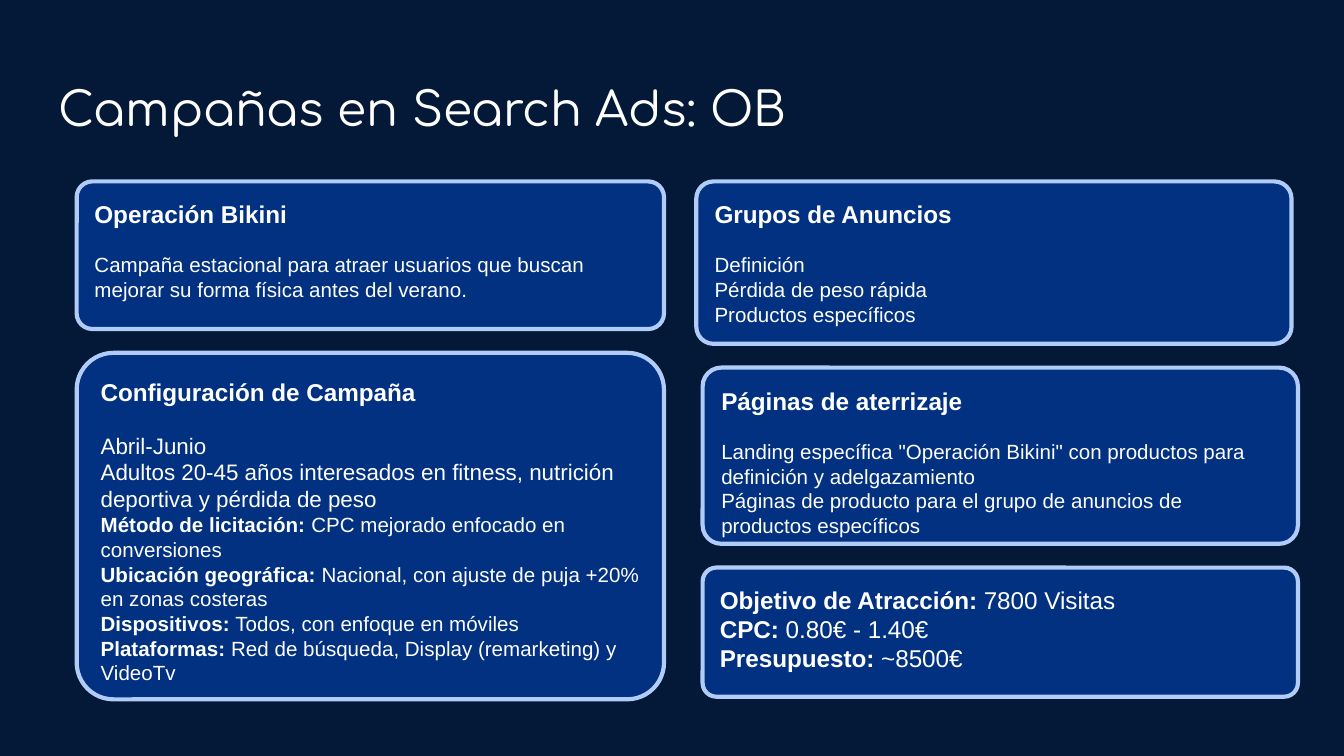
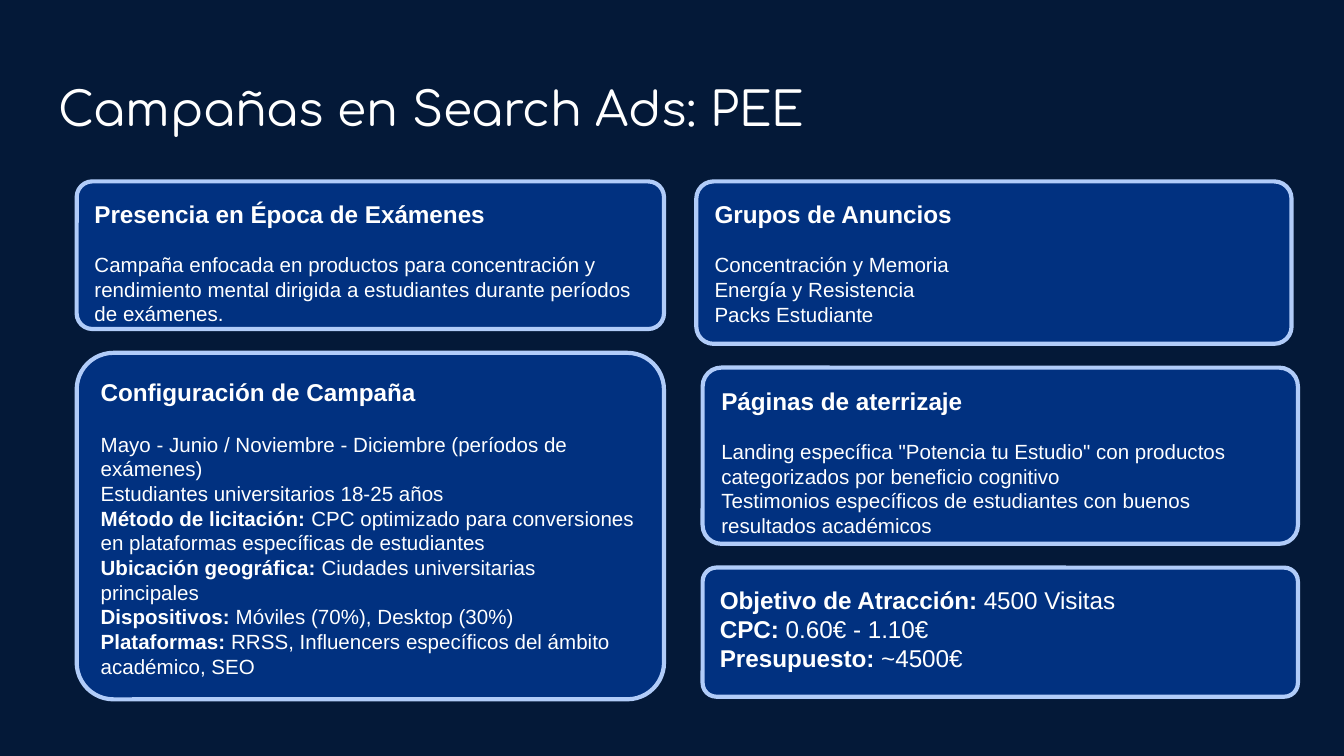
import pptx
import pptx.dml.color
import pptx.enum.shapes
import pptx.enum.text
import pptx.util

Cm = pptx.util.Cm
Pt = pptx.util.Pt

COLOURS = {"background": "041938", "card": "013180", "border": "B1CCF9", "text": "FFFFFF"}
TITLE_FONT, BODY_FONT = "Comfortaa", "Arial"
HEADING_SIZE, BODY_SIZE, LARGE_SIZE = 13, 11, 12
LINE_HEIGHT = 1.15

TITLE_START = "Campañas en Search Ads: "
SETTINGS = "Configuración de Campaña"
AD_GROUPS = "Grupos de Anuncios"
LANDING = "Páginas de aterrizaje"

# Cards per slide in layout order: (heading, rows); a row is (label, text, size)
CAMPAIGNS = [
    ("OB", [
        ("Operación Bikini", [
            ("", "Campaña estacional para atraer usuarios que buscan mejorar su forma física antes del verano.", BODY_SIZE),
        ]),
        (SETTINGS, [
            ("", "Abril-Junio", LARGE_SIZE),
            ("", "Adultos 20-45 años interesados en fitness, nutrición deportiva y pérdida de peso", LARGE_SIZE),
            ("Método de licitación:", " CPC mejorado enfocado en conversiones", BODY_SIZE),
            ("Ubicación geográfica:", " Nacional, con ajuste de puja +20% en zonas costeras", BODY_SIZE),
            ("Dispositivos:", " Todos, con enfoque en móviles", BODY_SIZE),
            ("Plataformas:", " Red de búsqueda, Display (remarketing) y VideoTv", BODY_SIZE),
        ]),
        (AD_GROUPS, [
            ("", "Definición", BODY_SIZE),
            ("", "Pérdida de peso rápida", BODY_SIZE),
            ("", "Productos específicos", BODY_SIZE),
        ]),
        (LANDING, [
            ("", 'Landing específica "Operación Bikini" con productos para definición y adelgazamiento', BODY_SIZE),
            ("", "Páginas de producto para el grupo de anuncios de productos específicos", BODY_SIZE),
        ]),
        ("", [
            ("Objetivo de Atracción:", " 7800 Visitas", HEADING_SIZE),
            ("CPC: ", "0.80€ - 1.40€", HEADING_SIZE),
            ("Presupuesto: ", "~8500€", HEADING_SIZE),
        ]),
    ]),
    ("PEE", [
        ("Presencia en Época de Exámenes", [
            ("", "Campaña enfocada en productos para concentración y rendimiento mental dirigida a estudiantes durante períodos de exámenes.", BODY_SIZE),
        ]),
        (SETTINGS, [
            ("", "Mayo - Junio / Noviembre - Diciembre (períodos de exámenes)", BODY_SIZE),
            ("", "Estudiantes universitarios 18-25 años", BODY_SIZE),
            ("Método de licitación:", " CPC optimizado para conversiones en plataformas específicas de estudiantes", BODY_SIZE),
            ("Ubicación geográfica:", " Ciudades universitarias principales", BODY_SIZE),
            ("Dispositivos:", " Móviles (70%), Desktop (30%)", BODY_SIZE),
            ("Plataformas:", " RRSS, Influencers específicos del ámbito académico, SEO", BODY_SIZE),
        ]),
        (AD_GROUPS, [
            ("", "Concentración y Memoria", BODY_SIZE),
            ("", "Energía y Resistencia", BODY_SIZE),
            ("", "Packs Estudiante", BODY_SIZE),
        ]),
        (LANDING, [
            ("", 'Landing específica "Potencia tu Estudio" con productos categorizados por beneficio cognitivo', BODY_SIZE),
            ("", "Testimonios específicos de estudiantes con buenos resultados académicos", BODY_SIZE),
        ]),
        ("", [
            ("Objetivo de Atracción:", " 4500 Visitas", HEADING_SIZE),
            ("CPC: ", "0.60€ - 1.10€", HEADING_SIZE),
            ("Presupuesto: ", "~4500€", HEADING_SIZE),
        ]),
    ]),
]

# Columns in cm: card width, then (left, height) of each card from the top down
COLUMNS = [
    (11.1, [(1.45, 2.79), (1.45, 6.55)]),
    (11.25, [(13.16, 3.07), (13.28, 3.33), (13.28, 2.44)]),
]
CARDS_TOP, CARD_GAP = 3.43, 0.45


def rgb(name):
    return pptx.dml.color.RGBColor.from_string(COLOURS[name])


def card_boxes():
    """Stack the cards of each column with an equal gap."""
    boxes = []
    for width, cards in COLUMNS:
        top = CARDS_TOP
        for left, height in cards:
            boxes.append((left, top, width, height))
            top += height + CARD_GAP
    return boxes


def prepare_frame(frame, anchor):
    frame.word_wrap = True
    frame.auto_size = pptx.enum.text.MSO_AUTO_SIZE.NONE
    frame.vertical_anchor = anchor
    frame.margin_left = frame.margin_right = Cm(0.25)
    frame.margin_top = frame.margin_bottom = Cm(0.25)


def add_run(paragraph, text, size, font=BODY_FONT, bold=False):
    run = paragraph.add_run()
    run.text = text
    run.font.name = font
    run.font.size = Pt(size)
    run.font.bold = bold
    run.font.color.rgb = rgb("text")


def set_title(slide, text):
    title = slide.shapes.title
    title.left, title.top, title.width, title.height = Cm(0.86), Cm(1.24), Cm(23.67), Cm(1.6)
    prepare_frame(title.text_frame, pptx.enum.text.MSO_ANCHOR.MIDDLE)
    paragraph = title.text_frame.paragraphs[0]
    paragraph.alignment = pptx.enum.text.PP_ALIGN.LEFT
    add_run(paragraph, text, 25.2, TITLE_FONT)


def add_card(slide, box, heading, rows):
    shape = slide.shapes.add_shape(
        pptx.enum.shapes.MSO_SHAPE.ROUNDED_RECTANGLE, *[Cm(length) for length in box])
    shape.adjustments[0] = 0.106
    shape.shadow.inherit = False
    shape.fill.solid()
    shape.fill.fore_color.rgb = rgb("card")
    shape.line.color.rgb = rgb("border")
    shape.line.width = Pt(2.25)

    frame = shape.text_frame
    prepare_frame(frame, pptx.enum.text.MSO_ANCHOR.TOP)
    lines = [(heading, "", HEADING_SIZE)] if heading else []
    for index, (label, text, size) in enumerate(lines + rows):
        paragraph = frame.add_paragraph() if index else frame.paragraphs[0]
        paragraph.alignment = pptx.enum.text.PP_ALIGN.LEFT
        if heading and index == 1:
            # One line of air below the heading
            gap_size = LARGE_SIZE if heading == SETTINGS else BODY_SIZE
            paragraph.space_before = Pt(gap_size * LINE_HEIGHT)
        if label:
            add_run(paragraph, label, size, bold=True)
        if text:
            add_run(paragraph, text, size)


def main():
    presentation = pptx.Presentation()
    presentation.slide_width, presentation.slide_height = Cm(25.4), Cm(14.29)
    background = presentation.slide_master.background.fill
    background.solid()
    background.fore_color.rgb = rgb("background")

    for code, cards in CAMPAIGNS:
        slide = presentation.slides.add_slide(presentation.slide_layouts[5])
        set_title(slide, TITLE_START + code)
        for box, (heading, rows) in zip(card_boxes(), cards):
            add_card(slide, box, heading, rows)

    presentation.save("out.pptx")


if __name__ == "__main__":
    main()
